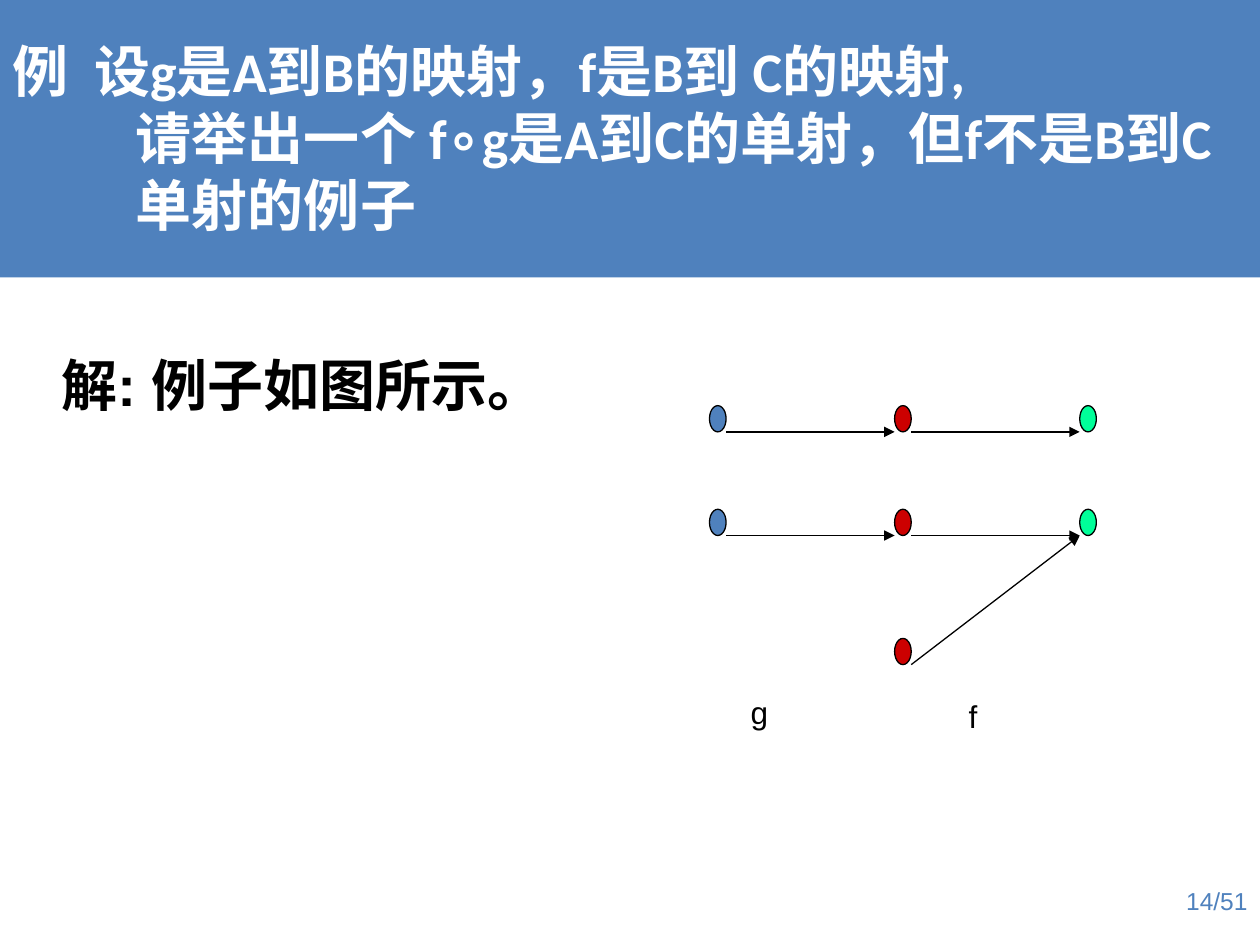
from lxml import etree
from pptx import Presentation
from pptx.dml.color import RGBColor
from pptx.enum import shapes, text
from pptx.oxml import ns
from pptx.util import Pt

BLUE, RED, GREEN, BLACK, WHITE = "4F81BD", "CC0000", "00FF99", "000000", "FFFFFF"


def color(hex_value):
    return RGBColor.from_string(hex_value)


def set_font(paragraph, hex_value, **values):
    for name, value in values.items():
        setattr(paragraph.font, name, value)
    paragraph.font.color.rgb = color(hex_value)


def add_label(parent, box, words, hex_value, size, bold=False, wrap=False,
              alignment=text.PP_ALIGN.LEFT):
    frame = parent.add_textbox(*map(Pt, box)).text_frame
    frame.word_wrap = wrap
    frame.text = words
    paragraph = frame.paragraphs[0]
    paragraph.alignment = alignment
    set_font(paragraph, hex_value, name="Arial", size=Pt(size), bold=bold)


def add_title(slide, box):
    title = slide.shapes.title
    title.left, title.top, title.width, title.height = map(Pt, box)
    title.fill.solid()
    title.fill.fore_color.rgb = color(BLUE)
    frame = title.text_frame
    frame.word_wrap = True
    frame.auto_size = text.MSO_AUTO_SIZE.NONE
    frame.vertical_anchor = text.MSO_ANCHOR.MIDDLE
    frame.text = ("例  设g是A到B的映射，f是B到 C的映射,\v"
                  "请举出一个 f∘g是A到C的单射，但f不是B到C 单射的例子")
    paragraph = frame.paragraphs[0]
    paragraph.alignment = text.PP_ALIGN.LEFT
    properties = paragraph._p.get_or_add_pPr()
    properties.set("marL", str(Pt(70.5)))
    properties.set("indent", str(-Pt(70.5)))
    set_font(paragraph, WHITE, name="Calibri", size=Pt(32), bold=True)


def add_dot(parent, box, fill):
    dot = parent.add_shape(shapes.MSO_SHAPE.OVAL, *map(Pt, box))
    dot.shadow.inherit = False
    dot.fill.solid()
    dot.fill.fore_color.rgb = color(fill)
    dot.line.color.rgb = color(BLACK)
    dot.line.width = Pt(0.75)


def add_arrow(parent, start, end):
    arrow = parent.add_connector(
        shapes.MSO_CONNECTOR.STRAIGHT, *map(Pt, (*start, *end)))
    arrow.line.color.rgb = color(BLACK)
    arrow.line.width = Pt(0.75)
    etree.SubElement(arrow.line._get_or_add_ln(), ns.qn("a:tailEnd"), type="triangle")
    etree.SubElement(arrow._element.spPr, ns.qn("a:effectLst"))


def add_mapping_diagram(slide, left, top):
    """Draw A, B and C as columns of dots, with g and f as arrows between them."""
    parent = slide.shapes.add_group_shape().shapes
    dot_width, dot_height, pitch = 9.5, 15, 105.8
    rows = [top, top + 59.2, top + 133]
    columns = [(BLUE, 2), (RED, 3), (GREEN, 2)]
    lefts = [left + i * pitch for i in range(len(columns))]
    for x, (fill, count) in zip(lefts, columns):
        for y in rows[:count]:
            add_dot(parent, (x, y, dot_width, dot_height), fill)

    # (source column, source row, target row)
    for column, source, target in [(0, 0, 0), (0, 1, 1), (1, 0, 0), (1, 1, 1), (1, 2, 1)]:
        add_arrow(parent,
                  (lefts[column] + dot_width, rows[source] + dot_height),
                  (lefts[column + 1], rows[target] + dot_height))

    add_label(parent, (left + 16.5, top + 160.6, 24.5, 29.5), "g", BLACK, 18)
    add_label(parent, (left + 141, top + 162.7, 19.5, 29.5), "f", BLACK, 18)


def main():
    presentation = Presentation()
    presentation.slide_width, presentation.slide_height = Pt(720), Pt(540)
    slide = presentation.slides.add_slide(presentation.slide_layouts[5])
    add_title(slide, (0, -2, 720, 160.5))
    add_label(slide.shapes, (28, 196.5, 299.5, 45.5), "解: 例子如图所示。", BLACK, 32, bold=True)
    add_mapping_diagram(slide, 405.4, 231.8)
    add_label(slide.shapes, (552, 502.5, 168, 37.5), "14/51", BLUE, 14, wrap=True,
              alignment=text.PP_ALIGN.RIGHT)
    presentation.save("out.pptx")


if __name__ == "__main__":
    main()
